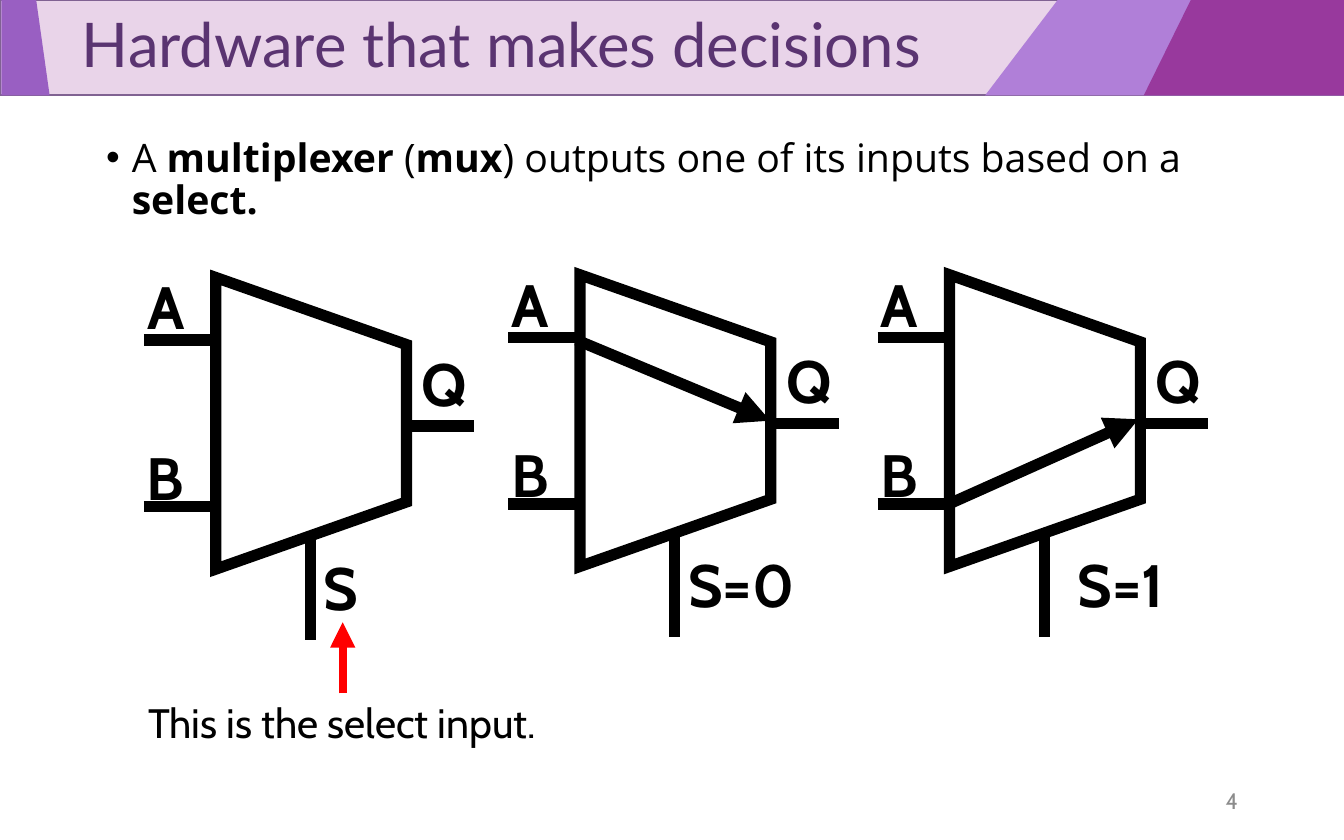
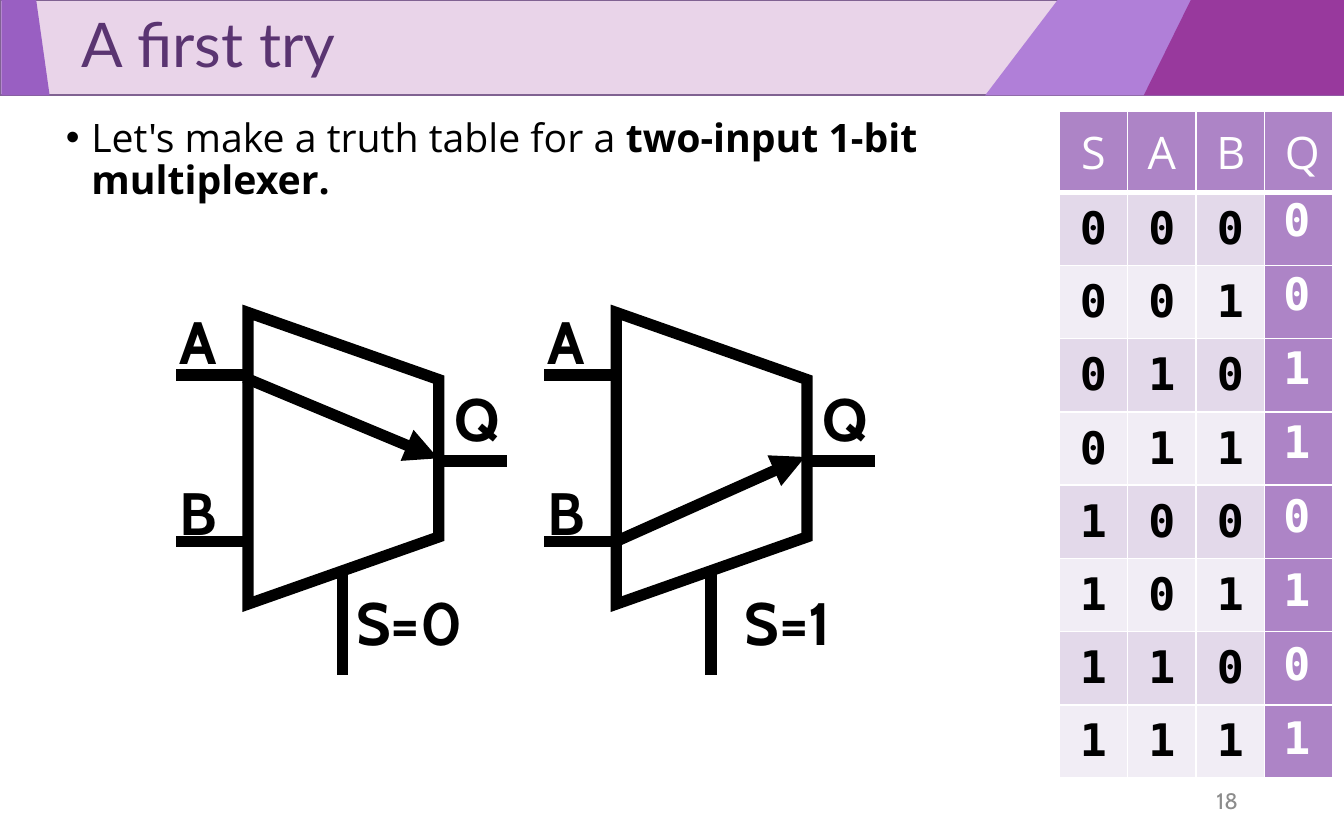
from dataclasses import dataclass
from itertools import product

from pptx import Presentation
from pptx.dml.color import RGBColor as RGB
from pptx.enum.shapes import MSO_CONNECTOR as CONN, MSO_SHAPE as SHAPE
from pptx.enum.text import MSO_ANCHOR as ANCHOR, MSO_AUTO_SIZE as FIT, PP_ALIGN as ALIGN
from pptx.oxml.ns import qn
from pptx.oxml.xmlchemy import OxmlElement as Oxml
from pptx.util import Pt

PX = 9144


@dataclass(frozen=True)
class Theme:
    band: str = "E9D4E9"
    band_line: str = "806292"
    band_left: str = "995FC2"
    band_mid: str = "B07FD8"
    band_right: str = "98399D"
    ink: str = "000000"
    accent: str = "FF0000"
    white: str = "FFFFFF"
    head: str = "AD84C6"
    odd: str = "E3D9EA"
    even: str = "F1EDF5"
    title: tuple = (33, "Lato", "5A3471")
    body: tuple = (21, "Open Sans", "000000")
    label: tuple = (32, "Cabin", "000000")
    callout: tuple = (22, "Cabin", "000000")
    number: tuple = (12, "Cabin", "8C8C8C")
    col_head: tuple = (24, "Open Sans", "FFFFFF")
    bit: tuple = (24, "DejaVu Sans Mono", "000000")
    answer: tuple = (24, "DejaVu Sans Mono", "FFFFFF")


T = Theme()


def write(tf, runs, style, align=ALIGN.LEFT):
    size, font, color = style
    p = tf.paragraphs[0]
    p.alignment = align
    for text, bold in runs:
        r = p.add_run()
        r.text = text
        r.font.size = Pt(size)
        r.font.name = font
        r.font.bold = bold
        r.font.color.rgb = RGB.from_string(color)
    return p


def add_text(shapes, box, text, style, bold=False, align=ALIGN.LEFT, anchor=ANCHOR.TOP):
    tf = shapes.add_textbox(*[v * PX for v in box]).text_frame
    tf.word_wrap = True
    tf.vertical_anchor = anchor
    write(tf, [(text, bold)], style, align)


A_PATH = (51, 2, 195, 62)
B_PATH = (53, 124, 194, 61)
DECK = [
    dict(
        title="Hardware that makes decisions",
        body=[("A ", False), ("multiplexer", True), (" (", False), ("mux", True),
              (") outputs one of its inputs based on a ", False), ("select.", True)],
        body_box=(69, 98, 862, 465),
        number="4",
        muxes=[(107, 253, "S", 49, None), (378, 251, "S=0", 103, A_PATH),
               (653, 251, "S=1", 103, B_PATH)],
    ),
    dict(
        title="A first try",
        body=[("Let's make a truth table for a ", False),
              ("two-input 1-bit multiplexer.", True)],
        body_box=(39, 83, 719, 465),
        number="18",
        muxes=[(131, 279, "S=0", 103, A_PATH), (405, 279, "S=1", 103, B_PATH)],
    ),
]

prs = Presentation()
prs.slide_width, prs.slide_height = 1000 * PX, 625 * PX
layout = prs.slide_layouts[1]
for ph in list(layout.placeholders):
    if ph.placeholder_format.idx > 1:
        ph.element.getparent().remove(ph.element)
slides = [prs.slides.add_slide(layout) for _ in DECK]

shapes = slides[0].shapes
band = shapes.add_shape(SHAPE.RECTANGLE, 0, 0, 1000 * PX, 71 * PX)
band.line.color.rgb = RGB.from_string(T.band_line)
band.line.width = Pt(1)
parts = [(band, T.band)]
for points, color in [
    ([(787, 0), (1000, 0), (1000, 71), (733, 71)], T.band_mid),
    ([(1, 0), (27, 0), (37, 71), (1, 71)], T.band_left),
    ([(886, 0), (1000, 0), (1000, 71), (851, 71)], T.band_right),
]:
    outline = shapes.build_freeform(*points[0], scale=PX)
    outline.add_line_segments(points[1:], close=True)
    part = outline.convert_to_shape()
    part.line.fill.background()
    parts.append((part, color))
for i, (part, color) in enumerate(parts):
    part.shadow.inherit = False
    part.fill.solid()
    part.fill.fore_color.rgb = RGB.from_string(color)
    layout.element.cSld.spTree.insert(2 + i, part.element)

lines = []
for s, page in zip(slides, DECK):
    title, body = s.shapes.title, s.placeholders[1]
    for ph, box, runs, style, anchor, margin, indent in [
        (title, (1, 0, 1000, 71), [(page["title"], False)], T.title, ANCHOR.MIDDLE, 50, 0),
        (body, page["body_box"], page["body"], T.body, ANCHOR.TOP, 19, -19),
    ]:
        ph.left, ph.top, ph.width, ph.height = [v * PX for v in box]
        tf = ph.text_frame
        tf.auto_size = FIT.NONE
        tf.vertical_anchor = anchor
        p = write(tf, runs, style)
        p.line_spacing = 0.9
        p.space_before = Pt(7.5 if ph is body else 0)
        pPr = p._p.get_or_add_pPr()
        pPr.set("marL", str(margin * PX))
        pPr.set("indent", str(indent * PX))
    bullet = Oxml("a:buChar")
    bullet.set("char", "•")
    pPr.append(bullet)
    add_text(s.shapes, (706, 579, 225, 33), page["number"], T.number,
             align=ALIGN.RIGHT, anchor=ANCHOR.MIDDLE)

    for x, y, select, select_w, path in page["muxes"]:
        mux = s.shapes.add_group_shape().shapes
        body_shape = mux.add_shape(SHAPE.TRAPEZOID, (x + 16) * PX, (y - 9) * PX, 217 * PX, 142 * PX)
        body_shape.rotation = 90
        body_shape.adjustments[0] = 0.352
        body_shape.shadow.inherit = False
        body_shape.fill.background()
        body_shape.line.color.rgb = RGB.from_string(T.ink)
        body_shape.line.width = Pt(6)
        miter = Oxml("a:miter")
        miter.set("lim", "800000")
        body_shape.element.spPr.find(qn("a:ln")).append(miter)
        for text, dx, dy, w, h, align in [
            ("A", -9, -57, 49, 49, ALIGN.RIGHT),
            ("B", -9, 70, 49, 49, ALIGN.RIGHT),
            ("Q", 197, 0, 75, 49, ALIGN.LEFT),
            (select, 120, 152, select_w, 64, ALIGN.RIGHT),
        ]:
            add_text(mux, (x + dx, y + dy, w, h), text, T.label, True, align)
        wires = [(0, 0, 51, 0), (0, 124, 51, 124), (195, 64, 246, 64), (124, 145, 124, 223)]
        if path:
            wires.append(path)
        for wire in wires:
            x1, y1, x2, y2 = wire
            lines.append((mux, (x + x1, y + y1, x + x2, y + y2), T.ink, 6, wire == path))

callout = slides[0].shapes.add_group_shape().shapes
add_text(callout, (57, 514, 395, 47), "This is the select input.", T.callout, align=ALIGN.CENTER)
lines.append((callout, (255, 516, 255, 463), T.accent, 4.5, True))

for shapes, ends, color, width, arrow in lines:
    line = shapes.add_connector(CONN.STRAIGHT, *[v * PX for v in ends])
    line.line.color.rgb = RGB.from_string(color)
    line.line.width = Pt(width)
    spPr = line.element.spPr
    if arrow:
        tip = Oxml("a:tailEnd")
        tip.set("type", "triangle")
        spPr.find(qn("a:ln")).append(tip)
    spPr.append(Oxml("a:effectLst"))

bits = list(product((0, 1), repeat=3))
rows = [["S", "A", "B", "Q"]] + [[str(b) for b in row] + [""] for row in bits]
shapes = slides[1].shapes
table = shapes.add_table(len(rows), 4, 788 * PX, 83 * PX, 204 * PX, 496 * PX).table
for col in table.columns:
    col.width = 51 * PX
for i, row in enumerate(rows):
    table.rows[i].height = 60 * PX if i == 0 else (496 - 60) * PX // len(bits)
    for j, text in enumerate(row):
        cell = table.cell(i, j)
        cell.margin_left = cell.margin_right = 15 * PX
        cell.margin_top = cell.margin_bottom = 7 * PX
        cell.vertical_anchor = ANCHOR.MIDDLE
        tcPr = cell._tc.get_or_add_tcPr()
        for side in ("L", "R", "T", "B"):
            thick = (i == 0 and side == "B") or (i == 1 and side == "T")
            ln = Oxml(f"a:ln{side}")
            ln.set("w", str(Pt(3 if thick else 1)))
            fill, color = Oxml("a:solidFill"), Oxml("a:srgbClr")
            color.set("val", T.white)
            fill.append(color)
            ln.append(fill)
            tcPr.append(ln)
        shade = T.head if i == 0 or j == 3 else T.odd if i % 2 else T.even
        cell.fill.solid()
        cell.fill.fore_color.rgb = RGB.from_string(shade)
        if text:
            write(cell.text_frame, [(text, i > 0)], T.bit if i else T.col_head, ALIGN.CENTER)

for i, (select, a, b) in enumerate(bits):
    add_text(shapes, (945, 138 + 55 * i, 39, 50), str(b if select else a), T.answer, True)

prs.save("out.pptx")
